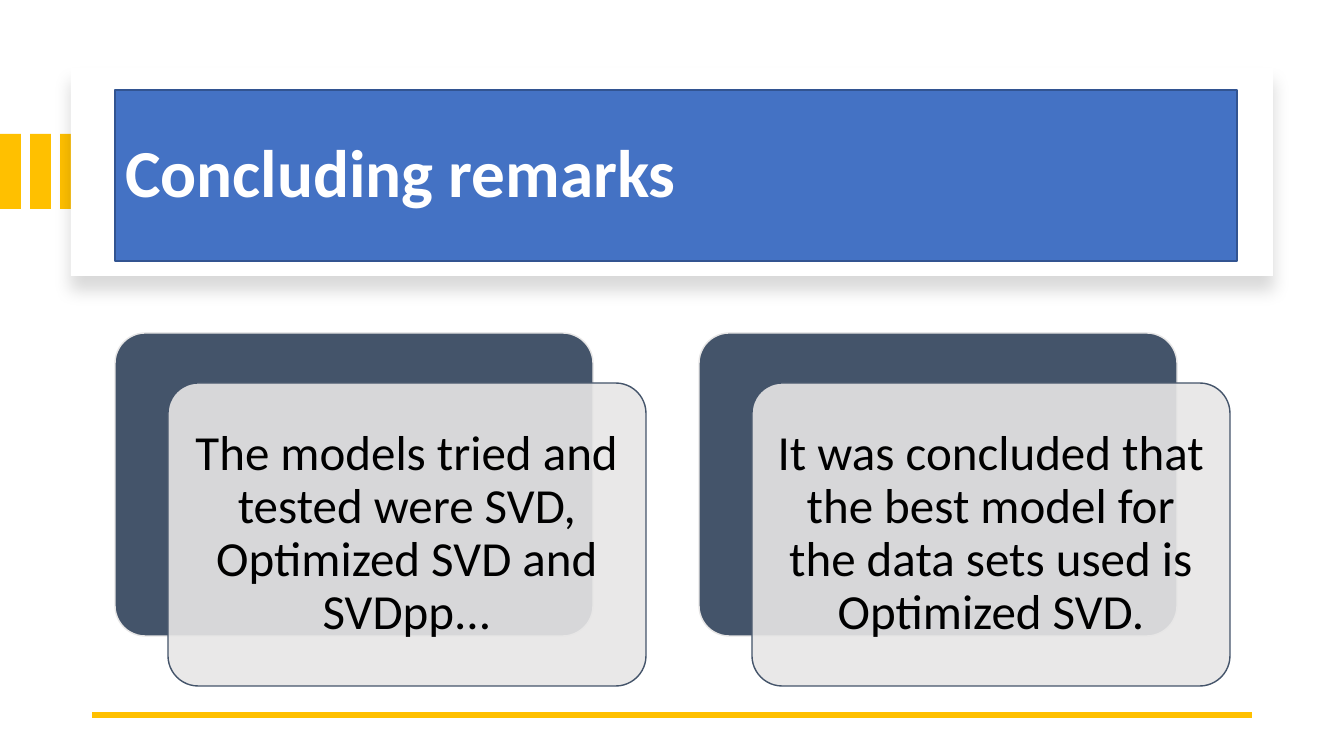
from dataclasses import dataclass
from lxml.etree import SubElement as Sub
from pptx import Presentation
from pptx.dml.color import RGBColor as Rgb
from pptx.enum.shapes import MSO_CONNECTOR as Conn, MSO_SHAPE as Kind
from pptx.enum.text import MSO_ANCHOR as Anchor, PP_ALIGN as Align
from pptx.oxml.ns import qn
from pptx.util import Pt

TITLE = "Concluding remarks"
CARDS = [
    "The models tried and tested were SVD, Optimized SVD and SVDpp...",
    "It was concluded that the best model for the data sets used is Optimized SVD.",
]


@dataclass(frozen=True)
class Theme:
    font: str = "Calibri"
    gold: str = "FFC000"
    white: str = "FFFFFF"
    black: str = "000000"
    blue: str = "4472C4"
    edge: str = "325491"
    slate: str = "44546A"
    pale: str = "E7E6E6"
    head: int = 48
    body: int = 35
    thin: int = 1
    rule: float = 4.5


theme = Theme()
SCALE = 914400 / 100.8
WIDE, HIGH = 1344, 756
BAR = (0, 134, 21, 75)
BARS, STEP = 3, 30
PANEL = (71, 68, 1202, 208)
BANNER = (115, 90, 1122, 171)
RULE = (1252, 715, 92, 715)
CARD = (115, 333, 478, 303)
PITCH = 584
SHIFT = (53, 50)
PAD, INSET = 10, 24


def px(n):
    return round(n * SCALE)


def add_box(slide, box, fill, line=None, kind=Kind.RECTANGLE):
    shape = slide.shapes.add_shape(kind, *map(px, box))
    shape.shadow.inherit = False
    shape.fill.solid()
    shape.fill.fore_color.rgb = Rgb.from_string(fill)
    if line:
        shape.line.color.rgb = Rgb.from_string(line)
        shape.line.width = Pt(theme.thin)
    else:
        shape.line.fill.background()
    if kind == Kind.ROUNDED_RECTANGLE:
        shape.adjustments[0] = 0.1
    return shape


def add_text(shape, text, size, color, align, pad, bold=False):
    frame = shape.text_frame
    frame.word_wrap = True
    frame.vertical_anchor = Anchor.MIDDLE
    frame.margin_left = frame.margin_right = px(pad)
    frame.margin_top = frame.margin_bottom = px(pad)
    para = frame.paragraphs[0]
    para.text = text
    para.alignment = align
    para.line_spacing = 0.9
    para.font.name = theme.font
    para.font.size = Pt(size)
    para.font.bold = bold
    para.font.color.rgb = Rgb.from_string(color)


def set_alpha(node, percent):
    Sub(node, qn("a:alpha"), val=str(percent * 1000))


def add_shade(shape):
    effects = shape._element.spPr.find(qn("a:effectLst"))
    shade = Sub(effects, qn("a:outerShdw"), blurRad=str(Pt(11)),
                dist=str(Pt(10)), dir="5400000", algn="t", rotWithShape="0")
    set_alpha(Sub(shade, qn("a:srgbClr"), val=theme.black), 15)


def add_rule(slide):
    line = slide.shapes.add_connector(Conn.STRAIGHT, *map(px, RULE))
    line.line.color.rgb = Rgb.from_string(theme.gold)
    line.line.width = Pt(theme.rule)
    Sub(line._element.spPr, qn("a:effectLst"))


def add_card(slide, index, text):
    left, top, wide, high = CARD
    left += index * PITCH
    round_box = Kind.ROUNDED_RECTANGLE
    add_box(slide, (left, top, wide, high), theme.slate, theme.pale, round_box)
    front = (left + SHIFT[0], top + SHIFT[1], wide, high)
    shape = add_box(slide, front, theme.pale, theme.slate, round_box)
    tint = shape._element.spPr.find(qn("a:solidFill"))
    set_alpha(tint[0], 90)
    add_text(shape, text, theme.body, theme.black, Align.CENTER, INSET - PAD)


def main():
    deck = Presentation()
    deck.slide_width, deck.slide_height = px(WIDE), px(HIGH)
    slide = deck.slides.add_slide(deck.slide_layouts[6])
    left, top, wide, high = BAR
    for i in range(BARS):
        add_box(slide, (left + i * STEP, top, wide, high), theme.gold)
    add_shade(add_box(slide, PANEL, theme.white))
    banner = add_box(slide, BANNER, theme.blue, theme.edge)
    add_text(banner, TITLE, theme.head, theme.white, Align.LEFT, PAD, True)
    add_rule(slide)
    for i, text in enumerate(CARDS):
        add_card(slide, i, text)
    deck.save("out.pptx")


if __name__ == "__main__":
    main()
